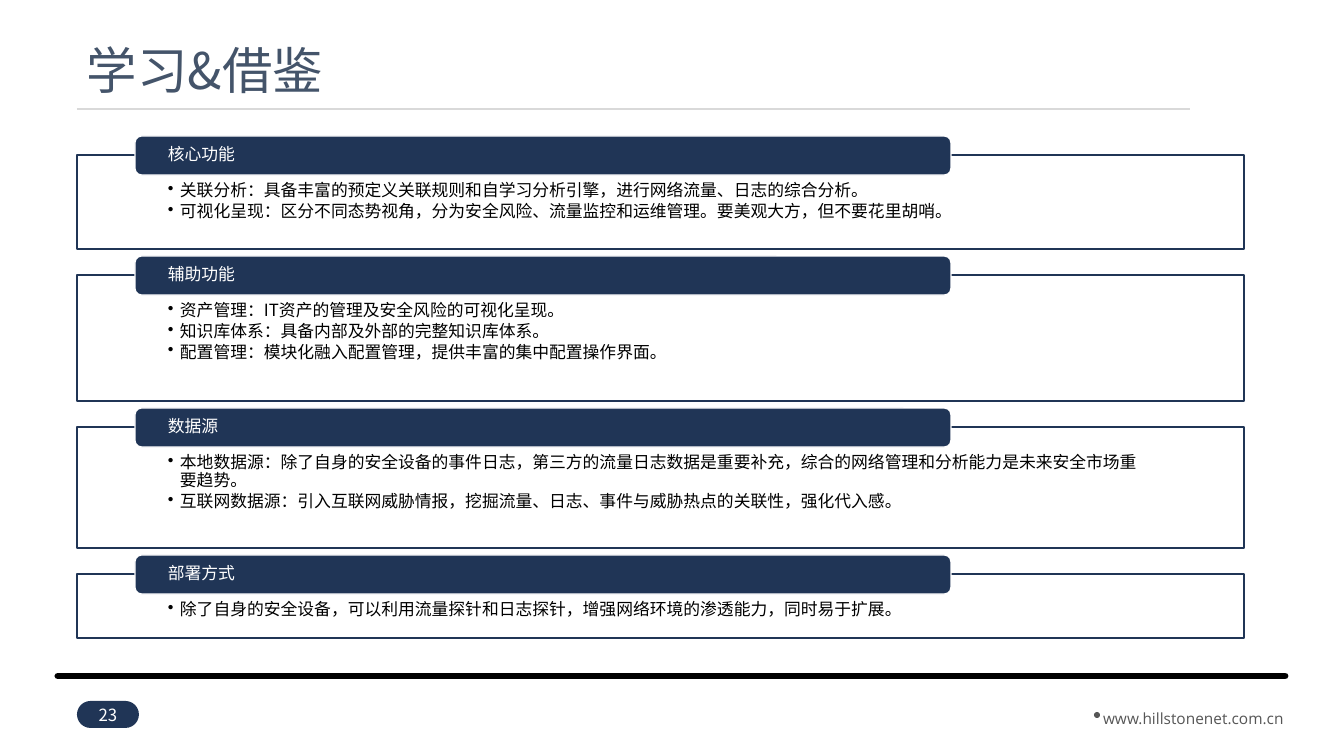
from lxml import etree
from pptx import Presentation
from pptx import util as u
from pptx.dml import color
from pptx.enum import shapes, text
from pptx.oxml import ns

EMU_PER_PX = 914400 / 100.8
NAVY, WHITE, GREY = "203556", "FFFFFF", "565656"
CJK, LATIN = "Noto Sans CJK SC", "Open Sans"
rgb = color.RGBColor.from_string


def px(*lengths):
    return [u.Emu(round(length * EMU_PER_PX)) for length in lengths]


def write_text(box, lines, size, ink, font=CJK, align=text.PP_ALIGN.LEFT,
               anchor=text.MSO_ANCHOR.MIDDLE, insets=(10, 5, 10, 5),
               spacing=0.9, bullets=False):
    frame = box.text_frame
    frame.word_wrap = True
    frame.vertical_anchor = anchor
    (frame.margin_left, frame.margin_top,
     frame.margin_right, frame.margin_bottom) = px(*insets)
    frame.text = "\n".join(lines)
    for para in frame.paragraphs:
        para.alignment = align
        para.line_spacing = spacing
        if bullets:
            para.space_after = u.Pt(2)
            props = para._p.get_or_add_pPr()
            indent = px(12)[0]
            props.set("marL", str(indent))
            props.set("indent", str(-indent))
            etree.SubElement(props, ns.qn("a:buChar")).set("char", "•")
        for span in para.runs:
            span.font.size = u.Pt(size)
            span.font.color.rgb = rgb(ink)
            span.font.name = font
            east_asian = etree.SubElement(span._r.get_or_add_rPr(), ns.qn("a:ea"))
            east_asian.set("typeface", font)


deck = Presentation()
deck.slide_width, deck.slide_height = px(1344, 756)
page = deck.slides.add_slide(deck.slide_layouts[6])

# Footer bar and title rule
for left, right, y, ink, width, cap in [
    (58, 1285, 676, "000000", 5, "rnd"),
    (77, 1190, 109, "D9D9D9", 1.5, "flat"),
]:
    rule = page.shapes.add_connector(
        shapes.MSO_CONNECTOR.STRAIGHT, *px(left, y, right, y))
    rule.line.color.rgb = rgb(ink)
    rule.line.width = u.Pt(width)
    rule.line._get_or_add_ln().set("cap", cap)
    etree.SubElement(rule._element.spPr, ns.qn("a:effectLst"))

# Title
title = page.shapes.add_textbox(*px(77, 40, 1082, 67))
write_text(title, ["学习&借鉴"], 36, "44546A")

# Web address with its dot
address = page.shapes.add_textbox(*px(1076, 695, 235, 38))
write_text(address, ["www.hillstonenet.com.cn"], 11, GREY, LATIN,
           text.PP_ALIGN.CENTER, text.MSO_ANCHOR.TOP, spacing=1.5)
dot = page.shapes.add_shape(shapes.MSO_SHAPE.OVAL, *px(1094, 712, 6, 6))

# Page number badge
badge = page.shapes.add_shape(
    shapes.MSO_SHAPE.ROUNDED_RECTANGLE, *px(77, 701, 62, 27))
badge.adjustments[0] = 0.5
write_text(badge, ["23"], 12, WHITE, align=text.PP_ALIGN.CENTER, spacing=1.0)

for mark, ink in [(dot, GREY), (badge, NAVY)]:
    mark.fill.solid()
    mark.fill.fore_color.rgb = rgb(ink)
    mark.line.fill.background()
    mark.shadow.inherit = False

# Sections: heading, panel height, points
sections = [
    ("核心功能", 94, [
        "关联分析：具备丰富的预定义关联规则和自学习分析引擎，进行网络流量、日志的综合分析。",
        "可视化呈现：区分不同态势视角，分为安全风险、流量监控和运维管理。要美观大方，但不要花里胡哨。",
    ]),
    ("辅助功能", 126, [
        "资产管理：IT资产的管理及安全风险的可视化呈现。",
        "知识库体系：具备内部及外部的完整知识库体系。",
        "配置管理：模块化融入配置管理，提供丰富的集中配置操作界面。",
    ]),
    ("数据源", 121, [
        "本地数据源：除了自身的安全设备的事件日志，第三方的流量日志数据是重要补充，"
        "综合的网络管理和分析能力是未来安全市场重要趋势。",
        "互联网数据源：引入互联网威胁情报，挖掘流量、日志、事件与威胁热点的关联性，强化代入感。",
    ]),
    ("部署方式", 64, [
        "除了自身的安全设备，可以利用流量探针和日志探针，增强网络环境的渗透能力，同时易于扩展。",
    ]),
]
GAP, HEADING_RISE = 26, 19
top = 155
for heading, height, points in sections:
    panel = page.shapes.add_shape(
        shapes.MSO_SHAPE.RECTANGLE, *px(77, top, 1167, height))
    write_text(panel, points, 12, "000000", anchor=text.MSO_ANCHOR.TOP,
               insets=(91, 27, 91, 9), bullets=True)
    tab = page.shapes.add_shape(
        shapes.MSO_SHAPE.ROUNDED_RECTANGLE, *px(135, top - HEADING_RISE, 816, 39))
    write_text(tab, [heading], 12, WHITE, insets=(31, 0, 31, 0))
    for box, inside, edge in [(panel, WHITE, NAVY), (tab, NAVY, WHITE)]:
        box.fill.solid()
        box.fill.fore_color.rgb = rgb(inside)
        box.line.color.rgb = rgb(edge)
        box.line.width = u.Pt(1)
        box.shadow.inherit = False
    top += height + GAP

deck.save("out.pptx")
